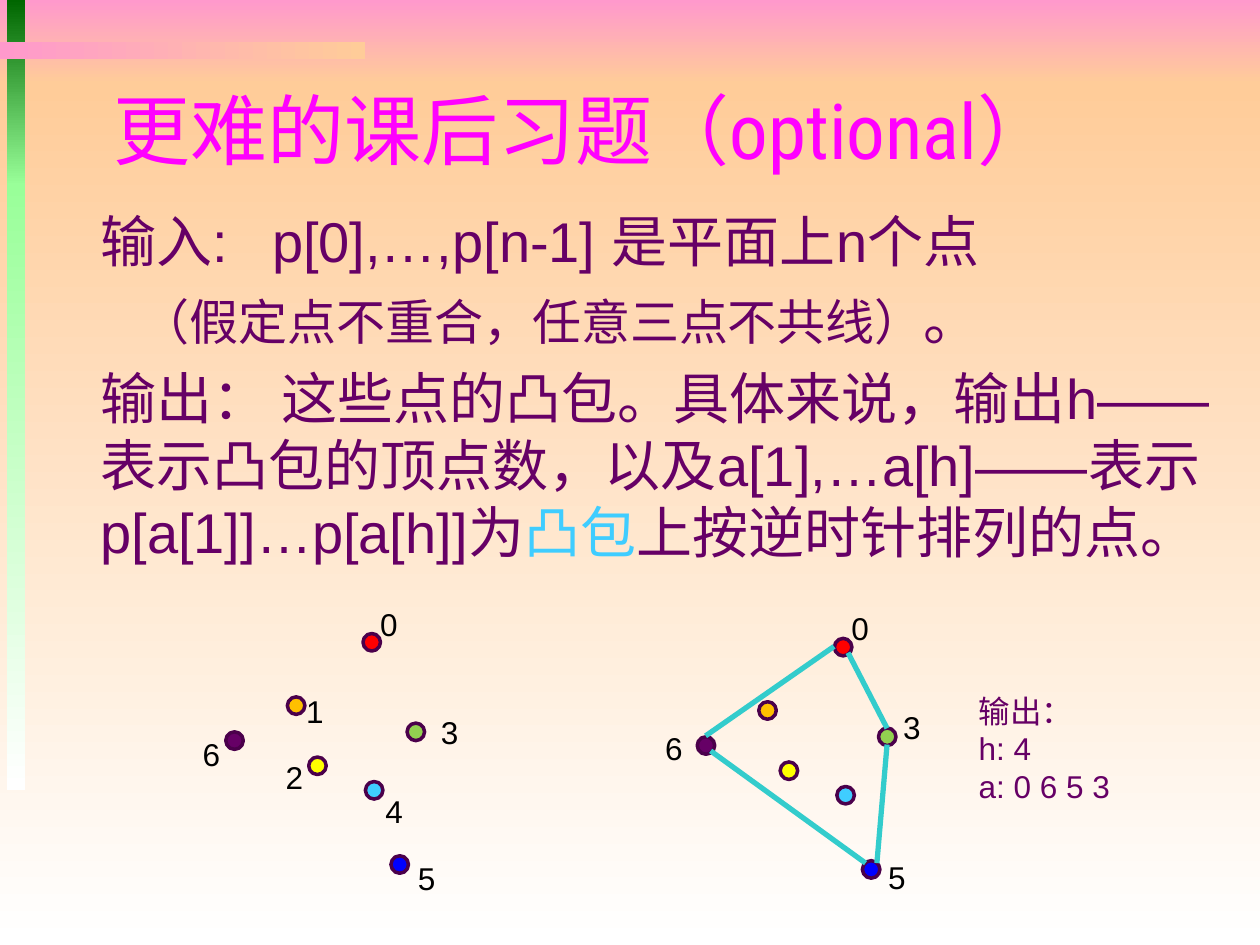
from lxml import etree
from pptx import Presentation
from pptx.dml.color import RGBColor
from pptx.enum import shapes, text
from pptx.oxml import ns
from pptx.util import Pt

PINK = RGBColor(0xFF, 0x99, 0xCC)
PEACH = RGBColor(0xFF, 0xCC, 0x99)
WHITE = RGBColor(0xFF, 0xFF, 0xFF)
BLACK = RGBColor(0, 0, 0)
DARK_GREEN = RGBColor(0, 0x66, 0)
LIGHT_GREEN = RGBColor(0x99, 0xFF, 0x99)
MAGENTA = RGBColor(0xFF, 0, 0xFF)
PURPLE = RGBColor(0x66, 0, 0x66)
OUTLINE = RGBColor(0x4B, 0, 0x4B)
SKY = RGBColor(0x3F, 0xCD, 0xFF)
TEAL = RGBColor(0x33, 0xCC, 0xCC)
RED = RGBColor(0xFF, 0, 0)
GREEN = RGBColor(0x92, 0xD0, 0x50)
BLUE = RGBColor(0, 0, 0xFF)
YELLOW = RGBColor(0xFF, 0xFF, 0)
ORANGE = RGBColor(0xFF, 0xC0, 0)

deck = Presentation()
deck.slide_width, deck.slide_height = Pt(720), Pt(540)
page = deck.slides.add_slide(deck.slide_layouts[5])


def add_shape(kind, left, top, width, height):
    shape = page.shapes.add_shape(kind, Pt(left), Pt(top), Pt(width), Pt(height))
    shape.shadow.inherit = False
    return shape


def add_text(left, top, width, height, lines, size, color):
    """Add a text box; each line is a list of (words, size, colour) spans or a string."""
    box = page.shapes.add_textbox(Pt(left), Pt(top), Pt(width), Pt(height))
    frame = box.text_frame
    frame.word_wrap = True
    for number, line in enumerate(lines):
        para = frame.paragraphs[0] if number == 0 else frame.add_paragraph()
        for words, span_size, span_color in [(line, None, None)] if isinstance(line, str) else line:
            span = para.add_run()
            span.text = words
            if span_size:
                span.font.size = Pt(span_size)
            if span_color:
                span.font.color.rgb = span_color
        para.font.name = "Arial"
        para.font.size = Pt(size)
        para.font.color.rgb = color
    return frame


# Background bands: left, top, width, height, start, end, angle
bands = [
    (0, 0, 720, 48, PINK, PEACH, 270),
    (0, 48, 720, 492, PEACH, WHITE, 270),
    (4, 0, 10.4, 106, DARK_GREEN, LIGHT_GREEN, 270),
    (4, 105, 10.4, 346.5, LIGHT_GREEN, WHITE, 270),
    (0, 24, 208.5, 10, PINK, PEACH, 0),
]
for left, top, width, height, start, end, angle in bands:
    band = add_shape(shapes.MSO_SHAPE.RECTANGLE, left, top, width, height)
    band.line.fill.background()
    band.fill.gradient()
    band.fill.gradient_angle = angle
    for stop, color in zip(band.fill.gradient_stops, (start, end)):
        stop.color.rgb = color

# Title, brought in front of the bands
title = page.shapes.title
title.element.getparent().append(title.element)
title.left, title.top, title.width, title.height = Pt(57.6), Pt(41), Pt(612), Pt(65)
title.text_frame.text = "更难的课后习题（optional）"
title.text_frame.vertical_anchor = text.MSO_ANCHOR.MIDDLE
para = title.text_frame.paragraphs[0]
para.alignment = text.PP_ALIGN.LEFT
para.font.name = "Roboto Condensed"
para.font.size = Pt(44)
para.font.color.rgb = MAGENTA

# Problem statement
statement = add_text(50.4, 114.5, 669.6, 219.6, [
    "输入:\tp[0],…,p[n-1] 是平面上n个点",
    [("（假定点不重合，任意三点不共线）", 28, None), ("。", 32, None)],
    [("输出： 这些点的凸包。具体来说，输出h——表示凸包的顶点数，"
      "以及a[1],…a[h]——表示p[a[1]]…p[a[h]]为", None, None),
     ("凸包", None, SKY), ("上按逆时针排列的点。", None, None)],
], 32, PURPLE)
first, assumption, output = statement.paragraphs
first_format = first._p.get_or_add_pPr()
tabs = etree.Element(ns.qn("a:tabLst"))
etree.SubElement(tabs, ns.qn("a:tab"), pos=str(Pt(98)), algn="l")
first_format.insert(0, tabs)
assumption._p.get_or_add_pPr().set("marL", str(Pt(23)))
for para in (assumption, output):
    para.space_before = Pt(6.4)

# Points, drawn once as input and once with their hull
points = [
    (207.4, 362, RED), (232.6, 413.2, GREEN), (129, 418.2, PURPLE),
    (208.8, 446.6, SKY), (223.4, 489, BLUE), (176.4, 432.6, YELLOW),
    (164.2, 398.2, ORANGE),
]
for shift_x, shift_y in [(0, 0), (269.4, 2.8)]:
    for left, top, color in points:
        dot = add_shape(shapes.MSO_SHAPE.OVAL, left + shift_x, top + shift_y, 10, 10)
        dot.fill.solid()
        dot.fill.fore_color.rgb = color
        dot.line.color.rgb = OUTLINE
        dot.line.width = Pt(2)

# Hull edges
edges = [
    (484.6, 373, 506.9, 416.2), (501.1, 493.2, 506.9, 425.5),
    (494.6, 493.2, 406.1, 429.1), (476.6, 369.4, 403.2, 420.5),
]
for ends in edges:
    edge = page.shapes.add_connector(shapes.MSO_CONNECTOR.STRAIGHT, *map(Pt, ends))
    edge.line.color.rgb = TEAL
    edge.line.width = Pt(3)
    etree.SubElement(edge.element.spPr, ns.qn("a:effectLst"))

# Point labels
labels = [
    ("0", 210.2, 342), ("1", 167.8, 391.7), ("2", 156.2, 429.8), ("3", 244.8, 403.9),
    ("4", 213.1, 449.3), ("5", 231.8, 487.4), ("6", 108.7, 416.2),
    ("0", 479.5, 344.2), ("3", 509, 401), ("5", 500.4, 486.7), ("6", 373, 413.3),
]
for label, left, top in labels:
    frame = add_text(left, top, 43.2, 28.8, [label], 18, BLACK)
    frame.auto_size = text.MSO_AUTO_SIZE.SHAPE_TO_FIT_TEXT

# Sample output
sample = add_text(552.2, 391.7, 139, 72.7, ["输出：", "h: 4", "a: 0 6 5 3"], 18, PURPLE)
sample.auto_size = text.MSO_AUTO_SIZE.SHAPE_TO_FIT_TEXT

deck.save("out.pptx")
